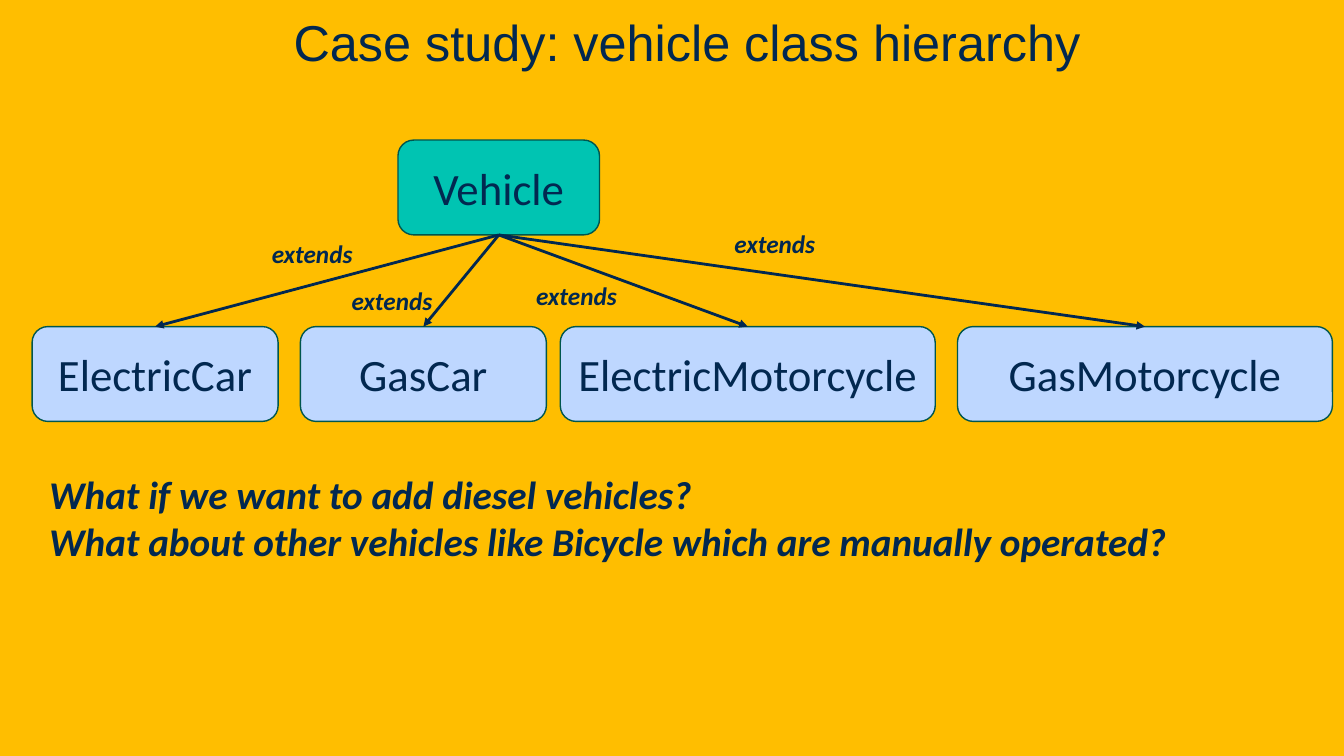
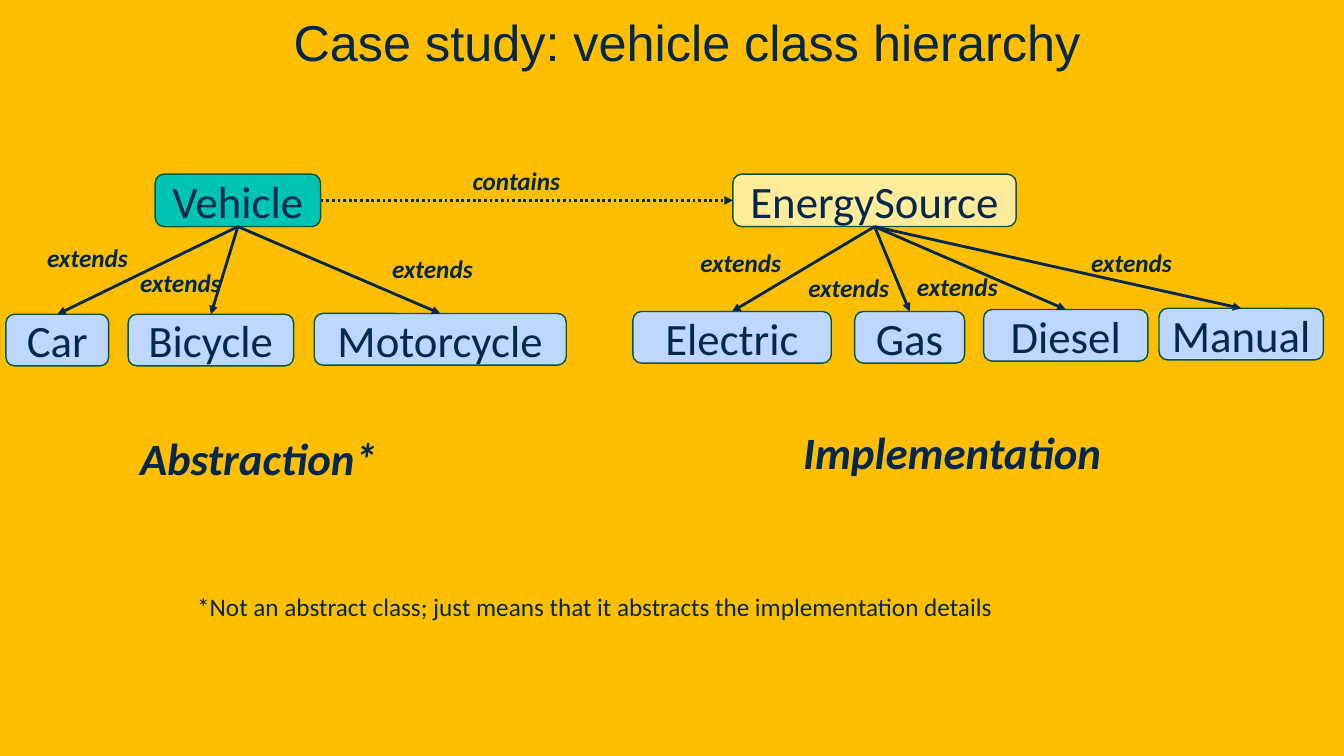
from pptx import Presentation
from pptx.dml.color import RGBColor
from pptx.enum.dml import MSO_LINE
from pptx.enum.shapes import MSO_CONNECTOR, MSO_SHAPE
from pptx.enum.text import MSO_ANCHOR, MSO_AUTO_SIZE, PP_ALIGN
from pptx.oxml.ns import qn
from pptx.util import Cm, Pt
from lxml.etree import SubElement

COLORS = {
    "background": "FFBE00",
    "ink": "022850",
    "outline": "00564E",
    "root": "00C4B2",
    "source": "FFEB99",
    "child": "BED7FF",
}
TITLE = "Case study: vehicle class hierarchy"
TOP, LEFT, BOTTOM, RIGHT = range(4)  # connection sites of a rectangle


def rgb(name):
    return RGBColor.from_string(COLORS[name])


class Deck:
    """Holds the shared style and the current slide."""

    def __init__(self):
        self.prs = Presentation()
        self.prs.slide_width, self.prs.slide_height = Cm(33.87), Cm(19.05)
        fill = self.prs.slide_master.background.fill
        fill.solid()
        fill.fore_color.rgb = rgb("background")
        self.s = None

    def run(self, p, text, size, font="Calibri", strong=False):
        r = p.add_run()
        r.text = text
        r.font.size = Pt(size)
        r.font.name = font
        r.font.bold = r.font.italic = strong
        r.font.color.rgb = rgb("ink")

    def slide(self, title):
        self.s = self.prs.slides.add_slide(self.prs.slide_layouts[5])
        sp = self.s.shapes.title
        sp.left, sp.top, sp.width, sp.height = 0, 0, self.prs.slide_width, Cm(1.93)
        tf = sp.text_frame
        tf.auto_size = MSO_AUTO_SIZE.NONE
        tf.vertical_anchor = MSO_ANCHOR.BOTTOM
        p = tf.paragraphs[0]
        p.alignment = PP_ALIGN.CENTER
        p.space_before = Pt(25)
        pPr = p._p.get_or_add_pPr()
        pPr.set("marL", str(Cm(0.76)))
        pPr.set("indent", "0")
        self.run(p, title, 36, "Arial")

    def box(self, text, color, x, y, w, h):
        sp = self.s.shapes.add_shape(
            MSO_SHAPE.ROUNDED_RECTANGLE, Cm(x), Cm(y), Cm(w), Cm(h))
        sp.shadow.inherit = False
        sp.fill.solid()
        sp.fill.fore_color.rgb = rgb(color)
        sp.line.color.rgb = rgb("outline")
        sp.line.width = Pt(1)
        tf = sp.text_frame
        tf.vertical_anchor = MSO_ANCHOR.MIDDLE
        p = tf.paragraphs[0]
        p.alignment = PP_ALIGN.CENTER
        self.run(p, text, 32)
        return sp

    def text(self, lines, x, y, w=2.59, h=1.02, size=18, strong=True):
        sp = self.s.shapes.add_textbox(Cm(x), Cm(y), Cm(w), Cm(h))
        tf = sp.text_frame
        tf.word_wrap = False
        tf.auto_size = MSO_AUTO_SIZE.SHAPE_TO_FIT_TEXT
        for i, line in enumerate(lines):
            p = tf.add_paragraph() if i else tf.paragraphs[0]
            self.run(p, line, size, strong=strong)

    def arrow(self, start, start_site, end, end_site, dash=None):
        c = self.s.shapes.add_connector(MSO_CONNECTOR.STRAIGHT, 0, 0, 0, 0)
        c.begin_connect(start, start_site)
        c.end_connect(end, end_site)
        c.line.color.rgb = rgb("ink")
        c.line.width = Pt(2)
        if dash:
            c.line.dash_style = dash
        SubElement(c.line._get_or_add_ln(), qn("a:tailEnd"), type="triangle")
        SubElement(c._element.spPr, qn("a:effectLst"))

    def family(self, parent, children):
        """Child boxes, each with an arrow from the parent and a label."""
        for name, bounds, label in children:
            child = self.box(name, "child", *bounds)
            self.arrow(parent, BOTTOM, child, TOP)
            self.text(["extends"], *label)


def hierarchy_slide(deck):
    deck.slide(TITLE)
    vehicle = deck.box("Vehicle", "root", 10.03, 3.53, 5.08, 2.39)
    y, h = 8.23, 2.39
    deck.family(vehicle, [
        ("ElectricCar", (0.81, y, 6.2, h), (6.6, 5.87)),
        ("GasCar", (7.57, y, 6.2, h), (8.61, 7.06)),
        ("ElectricMotorcycle", (14.12, y, 9.45, h), (13.26, 6.93)),
        ("GasMotorcycle", (24.13, y, 9.45, h), (18.26, 5.64)),
    ])
    # Questions
    deck.text(["What if we want to add diesel vehicles?",
               "What about other vehicles like Bicycle which are manually operated?"],
              0.99, 11.73, 28.98, 3.84, size=28)


def bridge_slide(deck):
    deck.slide(TITLE)
    # Two roots and the link between them
    vehicle = deck.box("Vehicle", "root", 3.91, 4.39, 4.17, 1.32)
    source = deck.box("EnergySource", "source", 18.47, 4.39, 7.14, 1.32)
    deck.arrow(vehicle, RIGHT, source, LEFT, MSO_LINE.ROUND_DOT)
    deck.text(["contains"], 11.66, 4.04, 2.74)
    # Subclasses
    h = 1.3
    deck.family(vehicle, [
        ("Car", (0.15, 7.92, 2.59, h), (0.94, 5.97)),
        ("Bicycle", (3.23, 7.92, 4.17, h), (3.28, 6.6)),
        ("Motorcycle", (7.92, 7.9, 6.35, h), (9.63, 6.27)),
    ])
    deck.family(source, [
        ("Electric", (15.95, 7.85, 5, h), (17.4, 6.1)),
        ("Gas", (21.54, 7.85, 2.77, h), (20.12, 6.73)),
        ("Diesel", (24.79, 7.8, 4.14, h), (22.86, 6.71)),
        ("Manual", (29.21, 7.77, 4.14, h), (27.25, 6.1)),
    ])
    # Captions and footnote
    deck.text(["Abstraction*"], 3.28, 10.72, 6.55, 1.63, size=32)
    deck.text(["Implementation"], 19.99, 10.57, 8.1, 1.63, size=32)
    deck.text(["*Not an abstract class; just means that it abstracts "
               "the implementation details"], 4.72, 14.78, 20.78, strong=False)


def main():
    deck = Deck()
    hierarchy_slide(deck)
    bridge_slide(deck)
    deck.prs.save("out.pptx")


if __name__ == "__main__":
    main()
